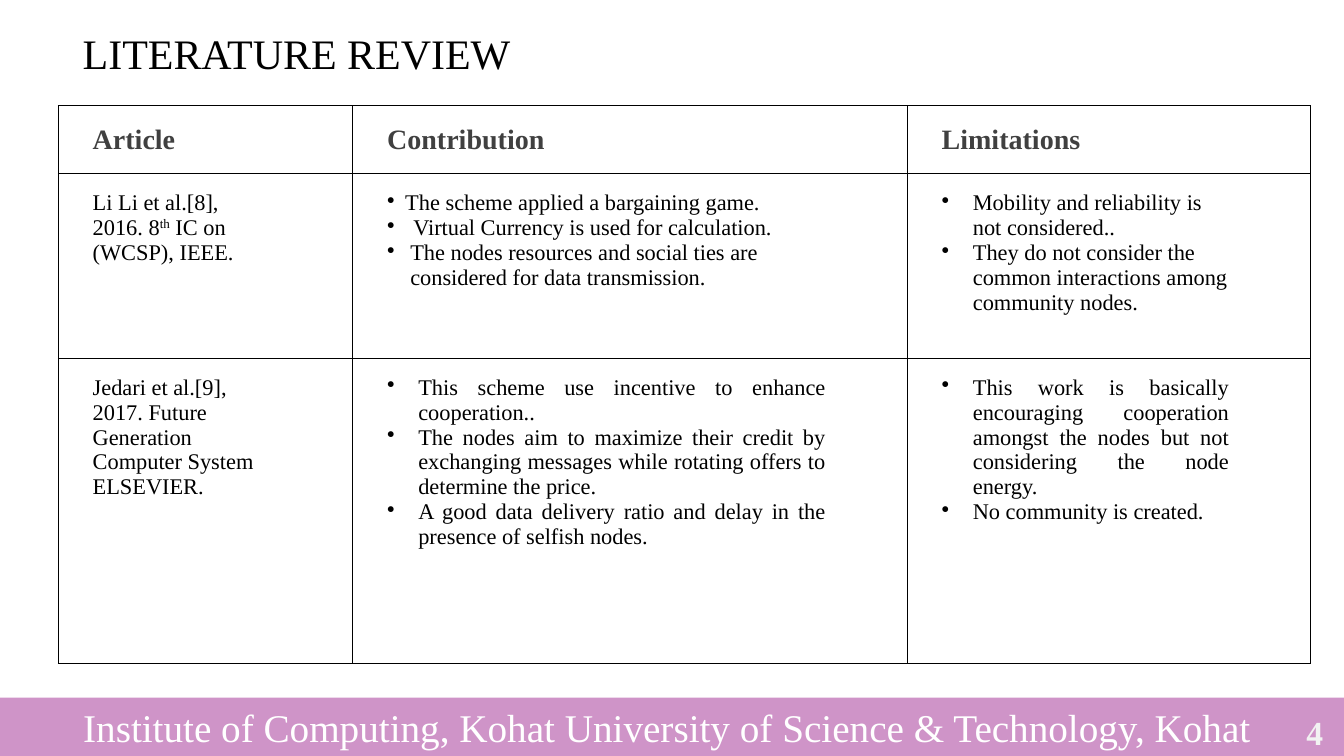
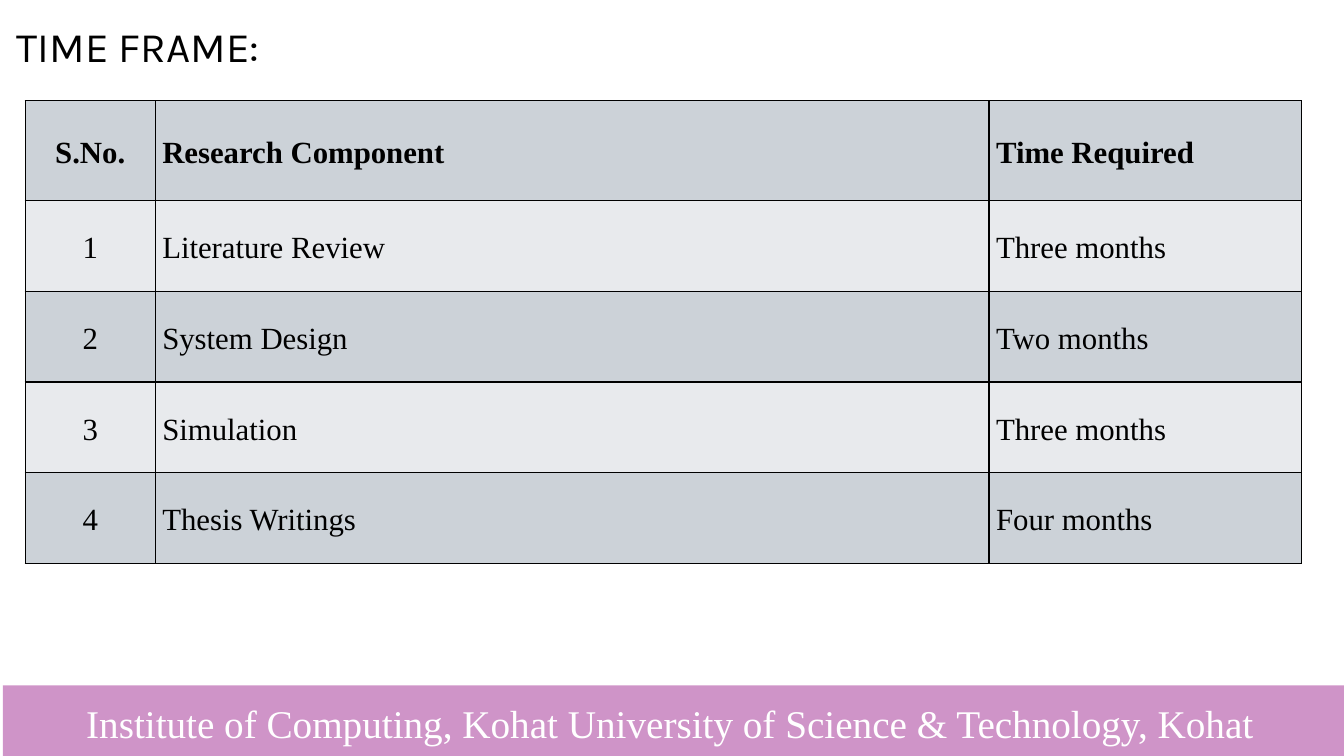
from lxml import etree
from pptx import Presentation
from pptx.dml.color import RGBColor
from pptx.enum.shapes import MSO_SHAPE
from pptx.enum.text import MSO_ANCHOR, PP_ALIGN
from pptx.oxml.ns import qn
from pptx.util import Inches, Pt

LEFT, MID, JUST = PP_ALIGN.LEFT, PP_ALIGN.CENTER, PP_ALIGN.JUSTIFY
TOP, CENTER, BOTTOM = MSO_ANCHOR.TOP, MSO_ANCHOR.MIDDLE, MSO_ANCHOR.BOTTOM
RECT = MSO_SHAPE.RECTANGLE

SERIF = "Times New Roman"
BLACK, WHITE, GREY, PALE = "000000", "FFFFFF", "404040", "F2F2F2"
PLUM, DARK, LIGHT = "A02B93", "CCD2D8", "E8EAED"
FOOTER = "Institute of Computing, Kohat University of Science & Technology, Kohat"
INSET = (0.1, 0.05, 0.1, 0.05)


def color(text):
    return RGBColor.from_string(text)


def font(size, tint=BLACK, bold=False, name=SERIF):
    return {"name": name, "size": Pt(size), "bold": bold, "tint": tint}


def bullet(text, align=LEFT, indent=0.31):
    return {"text": text, "align": align, "indent": indent}


def add_bullet(para, indent):
    props = para._p.get_or_add_pPr()
    props.set("marL", str(Inches(indent)))
    props.set("indent", str(-Inches(indent)))
    etree.SubElement(props, qn("a:buChar")).set("char", "•")


def add_run(para, text, look, raised):
    run = para.add_run()
    run.text = text
    for key, value in look.items():
        if key == "tint":
            run.font.color.rgb = color(value)
        else:
            setattr(run.font, key, value)
    if raised:
        run.font._element.set("baseline", "30000")


def write(frame, items, look, align=LEFT, space=1.0):
    """Fill a frame with paragraphs; text between ^ marks is superscript."""
    for pos, item in enumerate(items):
        para = frame.paragraphs[0] if pos == 0 else frame.add_paragraph()
        if isinstance(item, str):
            item = {"text": item, "align": align}
        if "indent" in item:
            add_bullet(para, item["indent"])
        para.alignment = item["align"]
        para.line_spacing = space
        for part, text in enumerate(item["text"].split("^")):
            add_run(para, text, look, part % 2 == 1)


def set_inset(owner, inset):
    for side, size in zip(("left", "top", "right", "bottom"), inset):
        setattr(owner, "margin_" + side, Inches(size))


def add_text(slide, box, text, look, anchor=CENTER, inset=INSET, **form):
    frame = slide.shapes.add_textbox(*map(Inches, box)).text_frame
    frame.word_wrap = True
    frame.vertical_anchor = anchor
    set_inset(frame, inset)
    write(frame, [text], look, **form)


def add_band(slide, box):
    band = slide.shapes.add_shape(RECT, *map(Inches, box))
    band.shadow.inherit = False
    band.line.fill.background()
    band.fill.solid()
    band.fill.fore_color.rgb = color(PLUM)
    tint = band.fill._xPr.find(".//" + qn("a:srgbClr"))
    etree.SubElement(tint, qn("a:alpha")).set("val", "50000")
    frame = band.text_frame
    frame.word_wrap = True
    frame.vertical_anchor = CENTER
    set_inset(frame, (0.1, 0.05, 0.2, 0.05))
    write(frame, [FOOTER], font(28, WHITE), MID)


def add_border(cell):
    props = cell._tc.get_or_add_tcPr()
    for side in ("lnL", "lnR", "lnT", "lnB"):
        line = etree.SubElement(props, qn("a:" + side), w=str(Pt(1)))
        fill = etree.SubElement(line, qn("a:solidFill"))
        etree.SubElement(fill, qn("a:srgbClr")).set("val", BLACK)


def add_table(slide, left, top, cols, rows, data, style):
    """Draw a bordered grid; style gives looks, fills, anchors and insets."""
    box = (left, top, sum(cols), sum(rows))
    grid = slide.shapes.add_table(len(rows), len(cols), *map(Inches, box)).table
    grid.first_row = grid.horz_banding = False
    for col, width in zip(grid.columns, cols):
        col.width = Inches(width)
    for row, height in zip(grid.rows, rows):
        row.height = Inches(height)
    for r, line in enumerate(data):
        part = "head" if r == 0 else "body"
        look, anchor = style[part]
        for c, items in enumerate(line):
            cell = grid.cell(r, c)
            add_border(cell)
            cell.fill.solid()
            cell.fill.fore_color.rgb = color(style["fills"][r % 2])
            cell.vertical_anchor = anchor
            set_inset(cell, style["inset"])
            write(cell.text_frame, items, look, style["aligns"][c], style["space"])


def add_review(slide):
    add_text(slide, (0.58, 0.1, 12.42, 0.9), "LITERATURE REVIEW", font(30),
             inset=(0.24, 0, 0.24, 0), space=0.9)
    data = [
        [["Article"], ["Contribution"], ["Limitations"]],
        [
            ["Li Li et al.[8],", "2016. 8^th^ IC on (WCSP), IEEE."],
            [
                bullet("The scheme applied a bargaining game.", indent=0.18),
                bullet("Virtual Currency is used for calculation.", indent=0.26),
                bullet("The nodes resources and social ties are considered "
                       "for data transmission.", indent=0.23),
            ],
            [
                bullet("Mobility and reliability is not considered.."),
                bullet("They do not consider the common interactions among "
                       "community nodes."),
            ],
        ],
        [
            ["Jedari et al.[9], 2017. Future Generation Computer System ELSEVIER."],
            [
                bullet("This scheme use incentive to enhance cooperation..", JUST),
                bullet("The nodes aim to maximize their credit by exchanging "
                       "messages while rotating offers to determine the price.", JUST),
                bullet("A good data delivery ratio and delay in the presence "
                       "of selfish nodes.", JUST),
            ],
            [
                bullet("This work is basically encouraging cooperation amongst "
                       "the nodes but not considering the node energy.", JUST),
                bullet("No community is created.", JUST),
            ],
        ],
    ]
    style = {
        "head": (font(20, GREY, True), CENTER),
        "body": (font(16), TOP),
        "fills": (WHITE, WHITE),
        "inset": (0.34, 0.17, 0.81, 0.17),
        "aligns": (LEFT, LEFT, LEFT),
        "space": 1.0,
    }
    add_table(slide, 0.58, 1.05, (2.92, 5.5, 4), (0.62, 1.83, 3.03), data, style)
    add_band(slide, (0, 6.92, 13.33, 0.58))
    add_text(slide, (12.79, 7.13, 0.5, 0.27), "4", font(24, PALE, True), align=MID)


def add_times(slide):
    add_text(slide, (0.07, 0, 13.26, 0.75), "TIME FRAME:", font(30, name="Karla"),
             BOTTOM, align=JUST, space=1.15)
    add_band(slide, (0.03, 6.8, 13.33, 0.75))
    steps = [
        ("Literature Review", "Three months"),
        ("System Design", "Two months"),
        ("Simulation", "Three months"),
        ("Thesis Writings", "Four months"),
    ]
    data = [[["S.No."], ["Research Component"], ["Time Required"]]]
    data += [[[str(num)], [step], [time]]
             for num, (step, time) in enumerate(steps, 1)]
    style = {
        "head": (font(22, bold=True), CENTER),
        "body": (font(22), CENTER),
        "fills": (DARK, LIGHT),
        "inset": (0.07, 0, 0.07, 0),
        "aligns": (MID, LEFT, LEFT),
        "space": 1.15,
    }
    rows = [0.99] + [0.9] * len(steps)
    add_table(slide, 0.25, 1, (1.29, 8.27, 3.1), rows, data, style)


def main():
    deck = Presentation()
    deck.slide_width, deck.slide_height = Inches(13.33), Inches(7.5)
    blank = deck.slide_layouts[6]
    for build in (add_review, add_times):
        build(deck.slides.add_slide(blank))
    deck.save("out.pptx")


if __name__ == "__main__":
    main()
